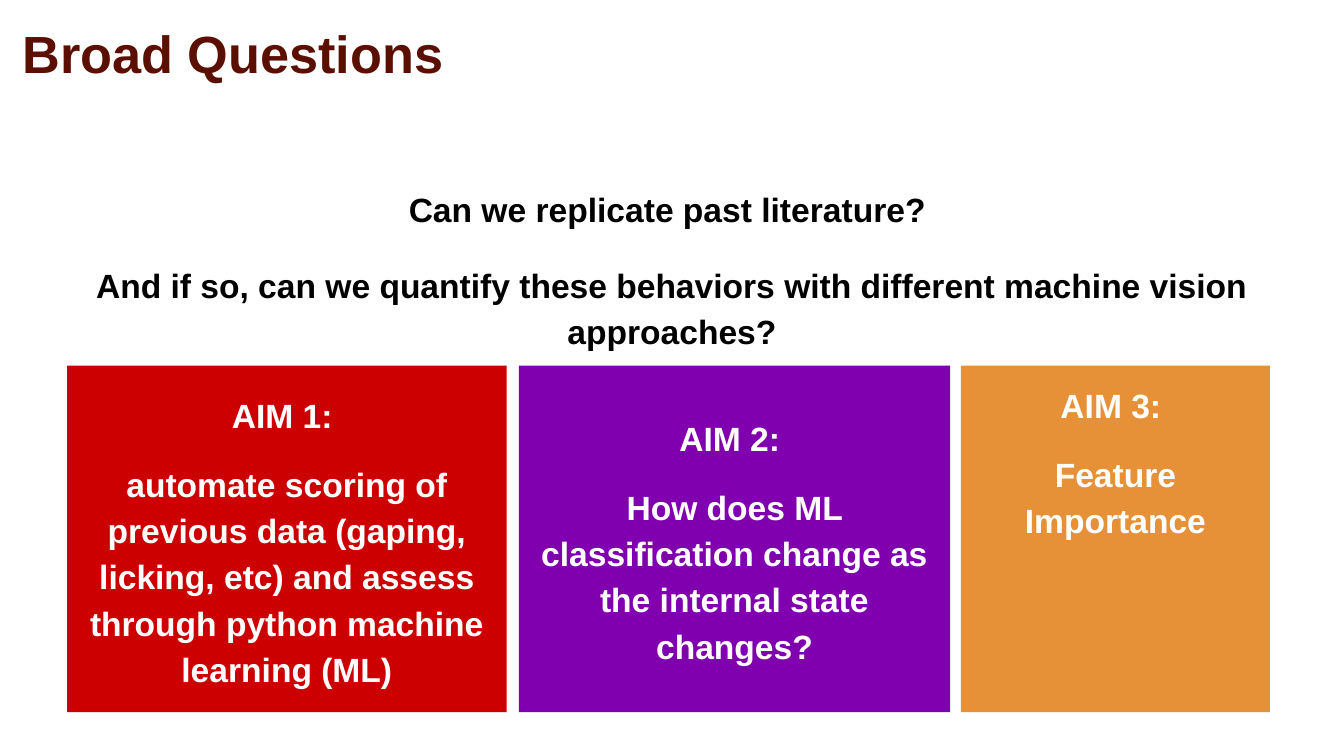
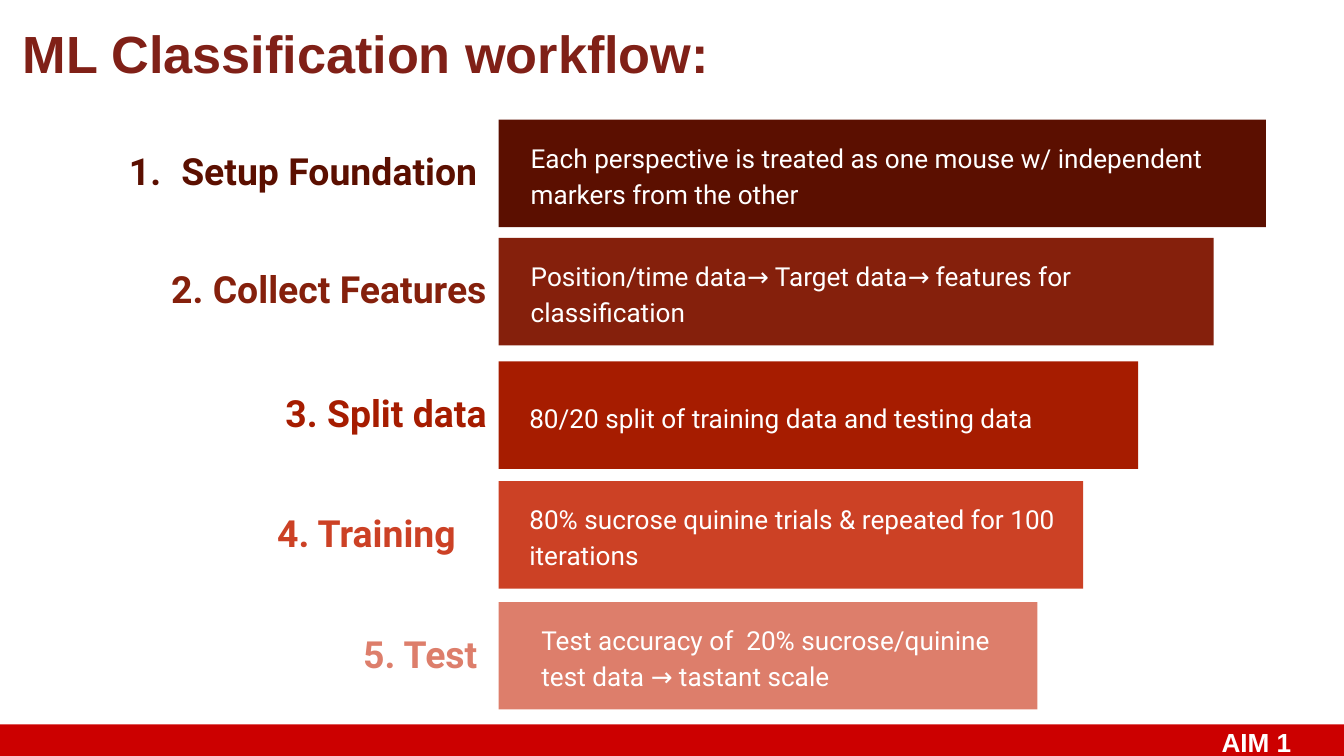
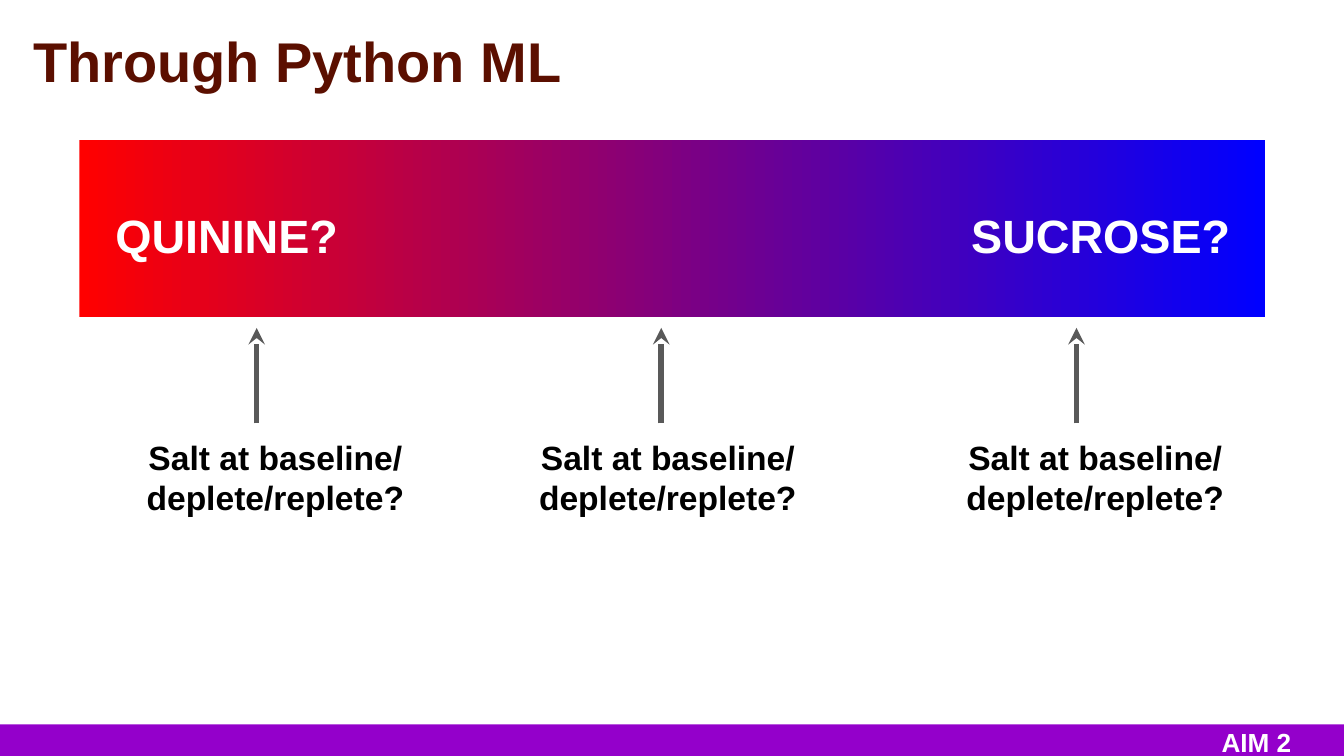
from lxml.etree import SubElement
from pptx import Presentation
from pptx.dml.color import RGBColor
from pptx.enum.shapes import MSO_CONNECTOR, MSO_SHAPE
from pptx.enum.text import MSO_ANCHOR, PP_ALIGN
from pptx.oxml.ns import qn
from pptx.util import Inches, Pt

SLIDE_WIDTH = 10
SLIDE_HEIGHT = SLIDE_WIDTH * 9 / 16
COLORS = {
    "white": "FFFFFF", "black": "000000", "gray": "595959",
    "title": "5B0F00", "workflow title": "802017",
    "aim 1": "CC0000", "aim 2": "8000AF", "aim 3": "E69138", "aim 2 band": "9400CB",
    "step 1": "5B0F00", "step 2": "85200C", "step 3": "A61C00",
    "step 4": "CC4125", "step 5": "DD7E6B",
    "quinine": "FF0000", "sucrose": "0000FF",
}
LEFT, CENTER, RIGHT = PP_ALIGN.LEFT, PP_ALIGN.CENTER, PP_ALIGN.RIGHT
TOP, MIDDLE = MSO_ANCHOR.TOP, MSO_ANCHOR.MIDDLE

QUESTIONS = [
    "Can we replicate past literature? ",
    "And if so, can we quantify these behaviors with different machine vision approaches?",
]
# left, width, colour, anchor, paragraphs
AIMS = [
    (0.5, 3.27, "aim 1", MIDDLE, ["AIM 1: ", "automate scoring of previous data (gaping, licking, etc) "
                                  "and assess through python machine learning (ML)"]),
    (3.86, 3.21, "aim 2", MIDDLE, ["AIM 2: ", "How does ML classification change as the internal "
                                   "state changes?"]),
    (7.15, 2.3, "aim 3", TOP, ["AIM 3: ", "Feature Importance"]),
]
# top, bar width, label, label left and width, description, description left and width
STEPS = [
    (0.89, 5.71, "Setup Foundation ", 0.21, 3.51,
     "Each perspective is treated as one mouse w/ independent markers from the other", 3.85, 5.46),
    (1.77, 5.32, "2. Collect Features", 0.27, 3.45,
     "Position/time data→ Target data→ features for classification", 3.85, 5.18),
    (2.69, 4.76, "3. Split data", 0.27, 3.45,
     "80/20 split of training data and testing data", 3.84, 4.64),
    (3.58, 4.35, "4. Training ", 0.66, 2.9,
     "80% sucrose quinine trials & repeated for 100 iterations", 3.84, 4.12),
    (4.48, 4.01, "5. Test ", 0.21, 3.51,
     "Test accuracy of  20% sucrose/quinine test data → tastant scale", 3.93, 3.8),
]
BAR_LEFT, BAR_HEIGHT, STEP_TEXT_HEIGHT = 3.71, 0.8, 0.69
TASTES = [("QUININE?", 0.76, LEFT), ("SUCROSE?", 6.6, RIGHT)]
SALT_QUESTION = ["Salt at baseline/", "deplete/replete?"]
SALT_SPOTS = [(1.91, 0.95), (4.92, 3.87), (8.01, 7.05)]  # arrow x, text left
FOOTER_TOP = 5.39


def rgb(color):
    return RGBColor.from_string(COLORS[color])


def write(shape, paragraphs, size, color, font="Arial", bold=True, align=LEFT, anchor=TOP,
          inset=0.1, spacing=None, gap=0):
    frame = shape.text_frame
    margins = {"margin_left": 0.1, "margin_right": 0.1, "margin_top": inset, "margin_bottom": inset}
    for name, value in margins.items():
        setattr(frame, name, Inches(value))
    frame.word_wrap = True
    frame.vertical_anchor = anchor
    for index, text in enumerate(paragraphs):
        paragraph = frame.paragraphs[0] if index == 0 else frame.add_paragraph()
        paragraph.alignment = align
        if spacing:
            paragraph.line_spacing = spacing
        if index and gap:
            paragraph.space_before = Pt(gap)
        run = paragraph.add_run()
        run.text = text
        for name, value in {"name": font, "size": Pt(size), "bold": bold}.items():
            setattr(run.font, name, value)
        run.font.color.rgb = rgb(color)


def add_text(slide, box, paragraphs, size, color, **style):
    shape = slide.shapes.add_textbox(*map(Inches, box))
    write(shape, paragraphs, size, color, **style)
    return shape


def add_rectangle(slide, box, color):
    shape = slide.shapes.add_shape(MSO_SHAPE.RECTANGLE, *map(Inches, box))
    shape.shadow.inherit = False
    shape.line.fill.background()
    shape.fill.solid()
    shape.fill.fore_color.rgb = rgb(color)
    return shape


def add_title(slide, text, left=0.07, top=0.06, width=9.32, size=28, color="title"):
    add_text(slide, (left, top, width, 0.63), [text], size, color)


def add_footer(slide, text, color):
    add_rectangle(slide, (0, FOOTER_TOP, SLIDE_WIDTH, SLIDE_HEIGHT - FOOTER_TOP), color)
    add_text(slide, (8.99, 5.41, 1.01, 0.22), [text], 14, "white", anchor=MIDDLE)


def number_paragraph(paragraph, color):
    properties = paragraph._p.get_or_add_pPr()
    properties.set("marL", str(Inches(0.5)))
    properties.set("indent", str(Inches(-0.39)))
    bullet_color = SubElement(properties, qn("a:buClr"))
    SubElement(bullet_color, qn("a:srgbClr"), val=COLORS[color])
    SubElement(properties, qn("a:buAutoNum"), type="arabicPeriod")


def add_up_arrow(slide, x, bottom, top):
    arrow = slide.shapes.add_connector(MSO_CONNECTOR.STRAIGHT, *map(Inches, (x, bottom, x, top)))
    arrow.line.color.rgb = rgb("gray")
    arrow.line.width = Pt(3)
    SubElement(arrow.line._get_or_add_ln(), qn("a:tailEnd"), type="stealth")
    SubElement(arrow._element.spPr, qn("a:effectLst"))


def build_questions(slide):
    add_title(slide, "Broad Questions", width=3.62)
    add_text(slide, (0.34, 1.26, 9.32, 1.46), QUESTIONS, 18, "black",
             align=CENTER, spacing=1.15, gap=16)
    for left, width, color, anchor, paragraphs in AIMS:
        card = add_rectangle(slide, (left, 2.72, width, 2.58), color)
        write(card, paragraphs, 18, "white", align=CENTER, anchor=anchor, spacing=1.15, gap=12)
        card.text_frame.paragraphs[-1].space_after = Pt(12)


def build_workflow(slide):
    add_title(slide, "ML Classification workflow:", color="workflow title")
    step_style = {"font": "Roboto", "anchor": MIDDLE, "inset": 0.05}
    for number, step in enumerate(STEPS, 1):
        top, bar_width, label, label_left, label_width, description, left, width = step
        color = f"step {number}"
        text_top = top + (BAR_HEIGHT - STEP_TEXT_HEIGHT) / 2
        label_box = add_text(slide, (label_left, text_top, label_width, STEP_TEXT_HEIGHT),
                             [label], 20, color, align=RIGHT, spacing=0.9, **step_style)
        if number == 1:
            number_paragraph(label_box.text_frame.paragraphs[0], color)
        add_rectangle(slide, (BAR_LEFT, top, bar_width, BAR_HEIGHT), color)
        add_text(slide, (left, text_top, width, STEP_TEXT_HEIGHT), [description], 14, "white",
                 bold=False, spacing=1.15, **step_style)
    add_footer(slide, "AIM 1", "aim 1")


def build_taste_scale(slide):
    add_title(slide, "Through Python ML", left=0.15, top=0.1, size=30)
    scale = add_rectangle(slide, (0.59, 1.04, 8.82, 1.32), "quinine")
    scale.fill.gradient()
    scale.fill.gradient_angle = 0
    for stop, color, position in zip(scale.fill.gradient_stops, ("quinine", "sucrose"), (0, 1)):
        stop.color.rgb = rgb(color)
        stop.position = position
    for taste, left, align in TASTES:
        add_text(slide, (left, 1.44, 2.65, 0.53), [taste], 25, "white", align=align)
    for x, left in SALT_SPOTS:
        add_up_arrow(slide, x, 3.15, 2.44)
        add_text(slide, (left, 3.15, 2.2, 0.71), SALT_QUESTION, 18, "black", align=CENTER)
    add_footer(slide, "AIM 2", "aim 2 band")


def main():
    presentation = Presentation()
    presentation.slide_width = Inches(SLIDE_WIDTH)
    presentation.slide_height = Inches(SLIDE_HEIGHT)
    for build in (build_questions, build_workflow, build_taste_scale):
        build(presentation.slides.add_slide(presentation.slide_layouts[6]))
    presentation.save("out.pptx")


if __name__ == "__main__":
    main()
